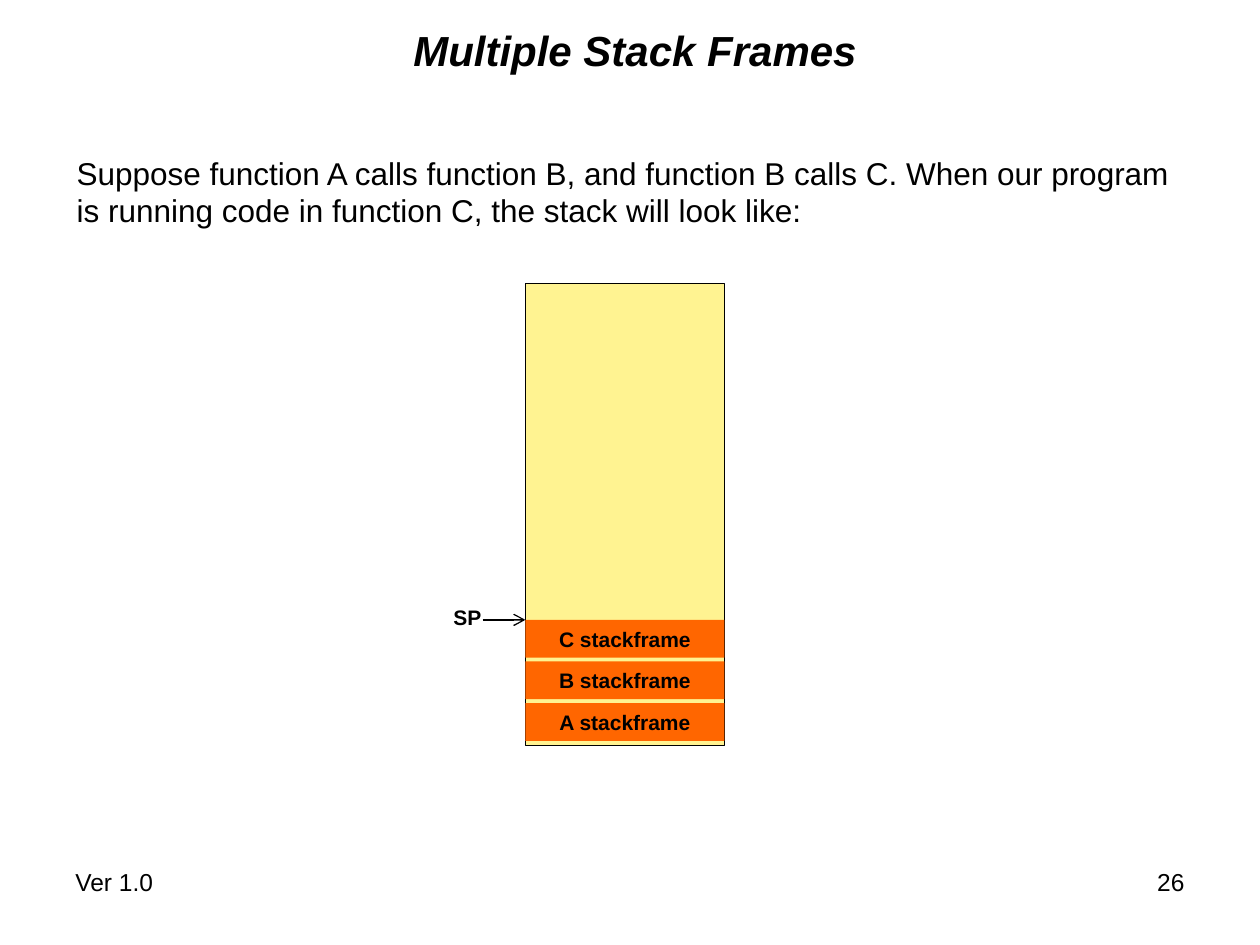
from pptx import Presentation
from pptx.dml.color import RGBColor as RGB
from pptx.enum.shapes import MSO_CONNECTOR as LINE, MSO_SHAPE as SHAPE
from pptx.enum.text import MSO_ANCHOR as ANCHOR, MSO_AUTO_SIZE as AUTO, PP_ALIGN as ALIGN
from pptx.oxml.ns import qn
from pptx.util import Inches, Pt
from lxml.etree import SubElement

TITLE = "Multiple Stack Frames"
INTRO = [
    "Suppose function A calls function B, and function B calls C. When our program",
    "is running code in function C, the stack will look like:",
]
FRAMES = ["A stackframe", "B stackframe", "C stackframe"]
FOOT = [("Ver 1.0", 0.5, ALIGN.LEFT), ("26", 7.17, ALIGN.RIGHT)]

THEME = {
    "font": "Arial",
    "ink": RGB(0, 0, 0),
    "stack": RGB(0xFF, 0xF3, 0x91),
    "frame": RGB(0xFF, 0x66, 0x00),
    "title": 24, "body": 18, "foot": 14, "label": 12,
    "line": 0.75,
}

LEFT, TOP, WIDE, TALL = 4.17, 2.25, 1.58, 3.67
BASE, STEP, HIGH = 5.58, 0.33, 0.3
SP_TOP = BASE - STEP * (len(FRAMES) - 1)


def write(shape, lines, size, align=ALIGN.LEFT, bold=False, italic=False):
    frame = shape.text_frame
    frame.text = "\n".join(lines)
    for para in frame.paragraphs:
        para.alignment = align
        for run in para.runs:
            font = run.font
            font.name = THEME["font"]
            font.size = Pt(THEME[size])
            font.color.rgb = THEME["ink"]
            font.bold, font.italic = bold, italic
    return frame


def add_text(slide, lines, box, size, align=ALIGN.LEFT, bold=False, wrap=True):
    shape = slide.shapes.add_textbox(*map(Inches, box))
    frame = write(shape, lines, size, align, bold)
    frame.word_wrap = wrap
    frame.auto_size = AUTO.NONE if wrap else AUTO.SHAPE_TO_FIT_TEXT


def add_rect(slide, top, high, fill):
    box = map(Inches, (LEFT, top, WIDE, high))
    rect = slide.shapes.add_shape(SHAPE.RECTANGLE, *box)
    rect.shadow.inherit = False
    rect.fill.solid()
    rect.fill.fore_color.rgb = THEME[fill]
    return rect


def add_arrow(slide, start, end, y):
    ends = map(Inches, (start, y, end, y))
    arrow = slide.shapes.add_connector(LINE.STRAIGHT, *ends)
    arrow.line.color.rgb = THEME["ink"]
    arrow.line.width = Pt(THEME["line"])
    props = arrow.line._get_or_add_ln()
    SubElement(props, qn("a:tailEnd"), type="arrow")
    SubElement(props.getparent(), qn("a:effectLst"))


def main():
    deck = Presentation()
    deck.slide_width, deck.slide_height = Inches(10), Inches(7.5)
    slide = deck.slides.add_slide(deck.slide_layouts[5])

    title = slide.shapes.title
    title.left, title.top, title.width, title.height = map(Inches, (1, 0.17, 8.08, 0.45))
    write(title, [TITLE], "title", ALIGN.CENTER, True, True)
    title.text_frame.vertical_anchor = ANCHOR.MIDDLE

    for text, left, align in FOOT:
        add_text(slide, [text], (left, 6.83, 2.33, 0.52), "foot", align)

    stack = add_rect(slide, TOP, TALL, "stack")
    stack.line.color.rgb = THEME["ink"]
    stack.line.width = Pt(THEME["line"])

    add_text(slide, INTRO, (0.51, 1.17, 8.9, 0.7), "body", wrap=False)

    for i, name in enumerate(FRAMES):
        rect = add_rect(slide, BASE - i * STEP, HIGH, "frame")
        rect.line.fill.background()
        frame = write(rect, [name], "label", ALIGN.CENTER, True)
        frame.vertical_anchor = ANCHOR.TOP
        frame.auto_size = AUTO.SHAPE_TO_FIT_TEXT

    add_text(slide, ["SP"], (3.5, 4.75, 0.42, HIGH), "label", bold=True, wrap=False)
    add_arrow(slide, 3.83, LEFT, SP_TOP)

    deck.save("out.pptx")


if __name__ == "__main__":
    main()
